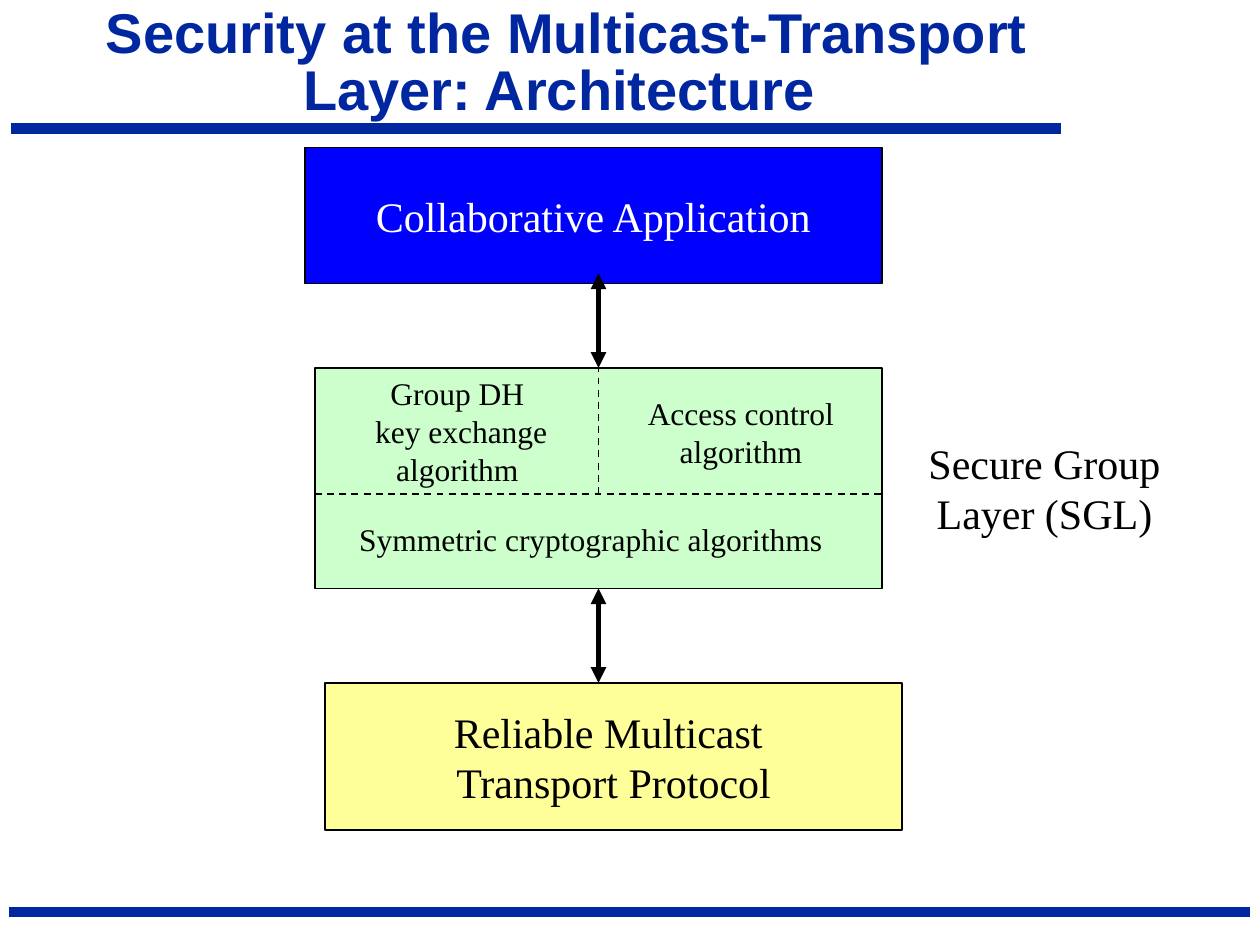
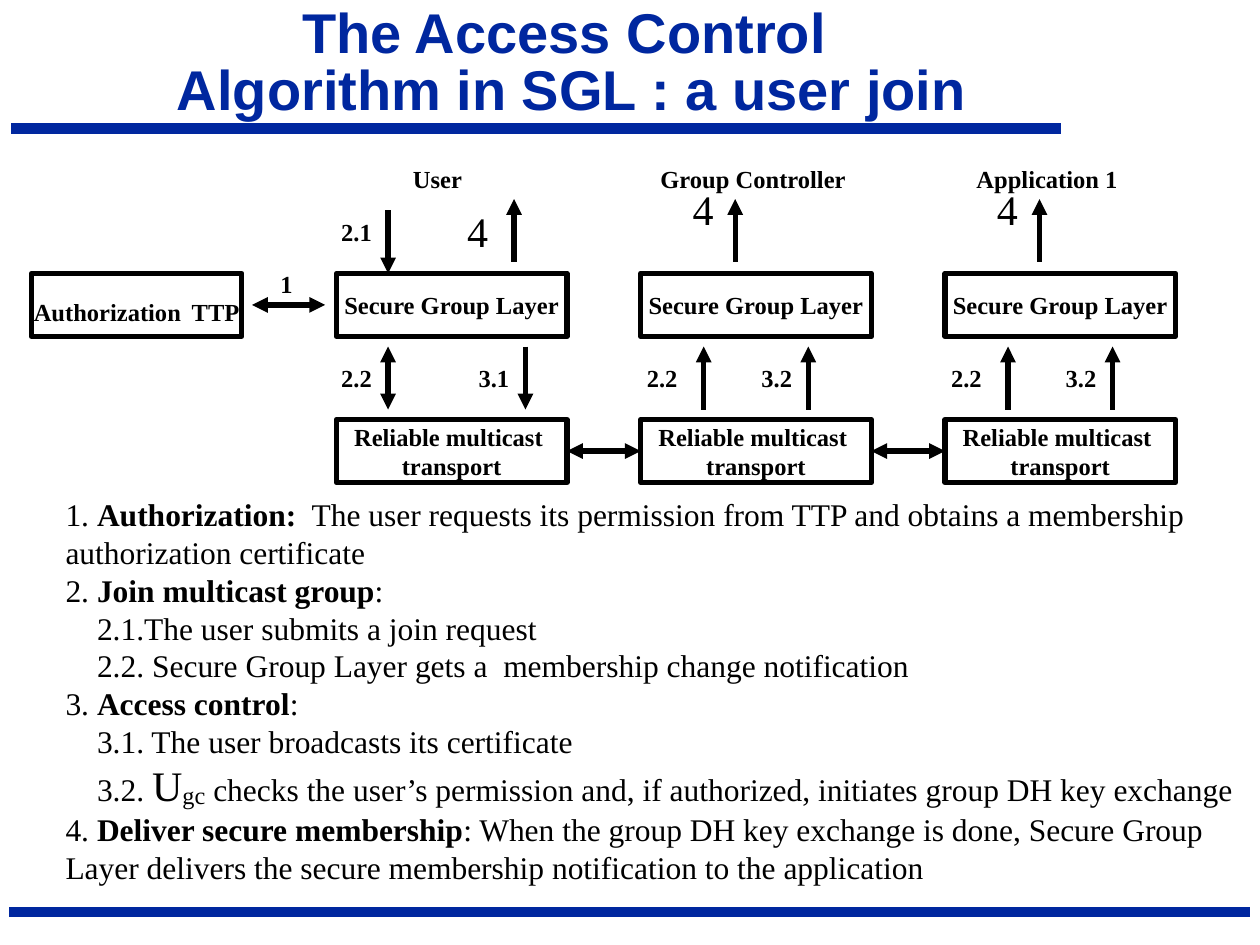
"""Build two slides on the secure group layer: its architecture and a user join."""
from lxml import etree
from pptx import Presentation
from pptx.dml.color import RGBColor
from pptx.enum import dml, shapes, text
from pptx.oxml import ns
from pptx.util import Inches, Pt

NAVY, BLACK, WHITE = "00279F", "000000", "FFFFFF"
BOLD = {"bold": True}
BANDS = [(8.42, 1.02, 0.09, 1.02), (9.92, 7.24, 0.07, 7.24)]
TITLES = [
    ("Security at the Multicast-Transport Layer: Architecture ", (0.25, 0.17, 8.5, 0.69)),
    ("The Access Control \nAlgorithm in SGL : a user join", (0.58, 0.17, 7.92, 0.69)),
]
LAYERS = {
    "base": ("Reliable Multicast \nTransport Protocol", (2.58, 5.42, 4.58, 1.17), "FFFF99", BLACK),
    "sgl": ("", (2.5, 2.92, 4.5, 1.75), "CCFFCC", BLACK),
    "app": ("Collaborative Application", (2.42, 1.17, 4.58, 1.08), "0000FF", WHITE),
}
PARTS = [
    ("Secure Group\nLayer (SGL)", (7.25, 3.42, 2.08, 0.9), 24),
    ("Symmetric cryptographic algorithms", (2.75, 4.08, 3.88, 0.4), 18),
    ("Group DH\n key exchange\nalgorithm", (2.5, 2.92, 2.26, 1), 18),
    ("Access control\nalgorithm", (4.92, 3.08, 1.92, 0.7), 18),
]
LEFT, STEP, WIDE, HIGH = 2.67, 2.415, 1.83, 0.5
LAYER_Y, NET_Y = 2.17, 3.33
UP, DOWN, BOTH = "up", "down", "both"
ABOVE, BELOW = (1.58, 2.08), (2.75, 3.25)
PEER = {
    "arrows": [(0.75, ABOVE, UP), (0.5, BELOW, UP), (1.33, BELOW, UP)],
    "tags": [("2.2", -0.08, 2.83), ("3.2", 0.83, 2.83)],
    "four": (0.33, 1.41, 0.33),
}
NODES = [
    {"name": "User ", "shift": -0.09,
     "arrows": [(0.41, (1.67, 2.17), DOWN), (1.41, ABOVE, UP),
                (0.41, BELOW, BOTH), (1.5, BELOW, DOWN)],
     "tags": [("2.1", -0.09, 1.67), ("2.2", -0.09, 2.83), ("3.1", 1.0, 2.83)],
     "four": (0.91, 1.58, 0.42)},
    {"name": "Group Controller ", "shift": 0, **PEER},
    {"name": "Application 1 ", "shift": -0.08, **PEER},
]
TTP = [[("Authorization", {}), (" ", {"size": 24}), ("TTP", {})]]
STEPS = [
    (0, [("1. ", {}), ("Authorization:", BOLD),
         ("  The user requests its permission from TTP and obtains a membership "
          "authorization certificate", {})]),
    (0, [("2. ", {}), ("Join multicast group", BOLD), (":", {})]),
    (0.25, [("2.1.The user submits a join request", {})]),
    (0.25, [("2.2. Secure Group Layer gets a  membership change notification", {})]),
    (0, [("3. ", {}), ("Access control", BOLD), (":", {})]),
    (0.25, [("3.1. The user broadcasts its certificate", {})]),
    (0.25, [("3.2. ", {}), ("U", {"size": 24}), ("gc", {"size": 24, "base": -6000}),
            (" checks the user’s permission and, if authorized, "
             "initiates group DH key exchange", {})]),
    (0, [("4. ", {}), ("Deliver secure membership", BOLD),
         (": When the group DH key exchange is done, Secure Group Layer delivers "
          "the secure membership notification to the application", {})]),
]


def tint(code):
    """Turn a hex string into a colour."""
    return RGBColor.from_string(code)


def style(run, size=14, bold=False, ink=BLACK, font="Times New Roman", base=None):
    """Format one run."""
    face = run.font
    face.size, face.bold, face.name = Pt(size), bold, font
    face.color.rgb = tint(ink)
    if base:
        run.font._element.set("baseline", str(base))


def say(box, words, side="CENTER", anchor="MIDDLE", wrap=True, gap=1.0, **look):
    """Fill a shape with a string, or with rows of (text, format) runs."""
    frame = box.text_frame
    frame.auto_size = text.MSO_AUTO_SIZE.NONE
    frame.word_wrap = wrap
    frame.vertical_anchor = text.MSO_ANCHOR[anchor]
    rows = words
    if isinstance(words, str):
        rows = [[(row, {})] for row in words.split("\n")]
    for n, row in enumerate(rows):
        para = frame.add_paragraph() if n else frame.paragraphs[0]
        para.alignment = text.PP_ALIGN[side]
        para.line_spacing, para.space_before = gap, Pt(0)
        for part, more in row:
            run = para.add_run()
            run.text = part
            style(run, **{**look, **more})


def place(box, spot):
    """Move and size a shape in inches."""
    box.left, box.top, box.width, box.height = map(Inches, spot)


def label(page, words, spot, **look):
    """Add a text box."""
    box = page.shapes.add_textbox(*map(Inches, spot))
    say(box, words, **look)


def block(page, words, spot, fill=WHITE, edge=3, **look):
    """Add an outlined rectangle."""
    box = page.shapes.add_shape(shapes.MSO_SHAPE.RECTANGLE, *map(Inches, spot))
    box.shadow.inherit = False
    box.fill.solid()
    box.fill.fore_color.rgb = tint(fill)
    box.line.color.rgb = tint(BLACK)
    box.line.width = Pt(edge)
    if words:
        say(box, words, wrap=False, **look)
    return box


def rule(page, ends, width=3, ink=BLACK, heads=(), dash=False, start=None, stop=None):
    """Add a straight line with optional heads, dashes and joins."""
    line = page.shapes.add_connector(shapes.MSO_CONNECTOR.STRAIGHT, *map(Inches, ends))
    line.line.color.rgb = tint(ink)
    line.line.width = Pt(width)
    if dash:
        line.line.dash_style = dml.MSO_LINE.DASH
    if start:
        line.begin_connect(*start)
    if stop:
        line.end_connect(*stop)
    stroke = line.line._get_or_add_ln()
    for head in heads:
        etree.SubElement(stroke, ns.qn("a:" + head), type="triangle")
    etree.SubElement(line.element.spPr, ns.qn("a:effectLst"))
    return line


TWO = ("headEnd", "tailEnd")
HEADS = {UP: TWO[:1], DOWN: TWO[1:], BOTH: TWO}


def begin(deck, kind, title):
    """Add a slide with its title."""
    page = deck.slides.add_slide(deck.slide_layouts[kind])
    words, spot = title
    place(page.shapes.title, spot)
    say(page.shapes.title, words, gap=0.85, size=32, bold=True, ink=NAVY, font="Arial")
    return page


def brand(deck, page):
    """Put the shared bands on the master."""
    for n, ends in enumerate(BANDS):
        band = rule(page, ends, width=6, ink=NAVY)
        band.element.nvCxnSpPr.cNvPr.set("id", str(50 + n))
        deck.slide_master.shapes.element.append(band.element)


def stack(page):
    """Draw the layer architecture."""
    made = {}
    for key, (words, spot, fill, ink) in LAYERS.items():
        made[key] = block(page, words, spot, fill=fill, edge=1, size=24, ink=ink)
    for words, spot, size in PARTS:
        label(page, words, spot, size=size)
    sgl = made["sgl"]
    rule(page, (2.5, 3.92, 7, 3.92), width=1, dash=True)
    rule(page, (4.75, 3.92, 4.75, 2.92), width=1, dash=True, stop=(sgl, 0))
    rule(page, (4.75, 2.17, 4.75, 2.92), heads=TWO, stop=(sgl, 0))
    rule(page, (4.75, 4.67, 4.75, 5.42), heads=TWO, start=(sgl, 2))


def join(page):
    """Draw the message flow between nodes."""
    block(page, TTP, (0.25, LAYER_Y, 1.67, HIGH), bold=True)
    rule(page, (2, 2.42, 2.58, 2.42), heads=TWO)
    label(page, "1", (2.19, 2.08, 0.17, 0.34), bold=True, wrap=False)
    last = None
    for n, node in enumerate(NODES):
        x = LEFT + n * STEP
        block(page, "Secure Group Layer", (x, LAYER_Y, WIDE, HIGH), bold=True)
        net = block(page, "Reliable multicast \ntransport", (x, NET_Y, WIDE, HIGH), bold=True)
        if last:
            y = NET_Y + HIGH / 2
            rule(page, (x - STEP + WIDE, y, x, y), heads=TWO, start=(last, 3), stop=(net, 1))
        last = net
        label(page, node["name"], (x + node["shift"], 1.25, WIDE, 0.34), bold=True)
        for dx, (top, low), way in node["arrows"]:
            rule(page, (x + dx, top, x + dx, low), heads=HEADS[way])
        for words, dx, y in node["tags"]:
            label(page, words, (x + dx, y, 0.5, 0.34), bold=True)
        dx, y, w = node["four"]
        label(page, "4", (x + dx, y, w, 0.5), size=24, wrap=False)


def tell(page):
    """Write the numbered steps in the body placeholder."""
    body = page.placeholders[1]
    place(body, (0.42, 3.88, 9.58, 3.2))
    say(body, [row for _, row in STEPS], side="LEFT", anchor="TOP", size=18)
    for (dent, _), para in zip(STEPS, body.text_frame.paragraphs):
        props = para._p.get_or_add_pPr()
        props.set("marL", str(Inches(dent)))
        props.set("indent", "0")
        etree.SubElement(props, ns.qn("a:buNone"))


def main():
    """Build and save the deck."""
    deck = Presentation()
    deck.slide_width, deck.slide_height = Inches(10), Inches(7.5)
    first = begin(deck, 5, TITLES[0])
    brand(deck, first)
    stack(first)
    second = begin(deck, 1, TITLES[1])
    tell(second)
    join(second)
    deck.save("out.pptx")


if __name__ == "__main__":
    main()
